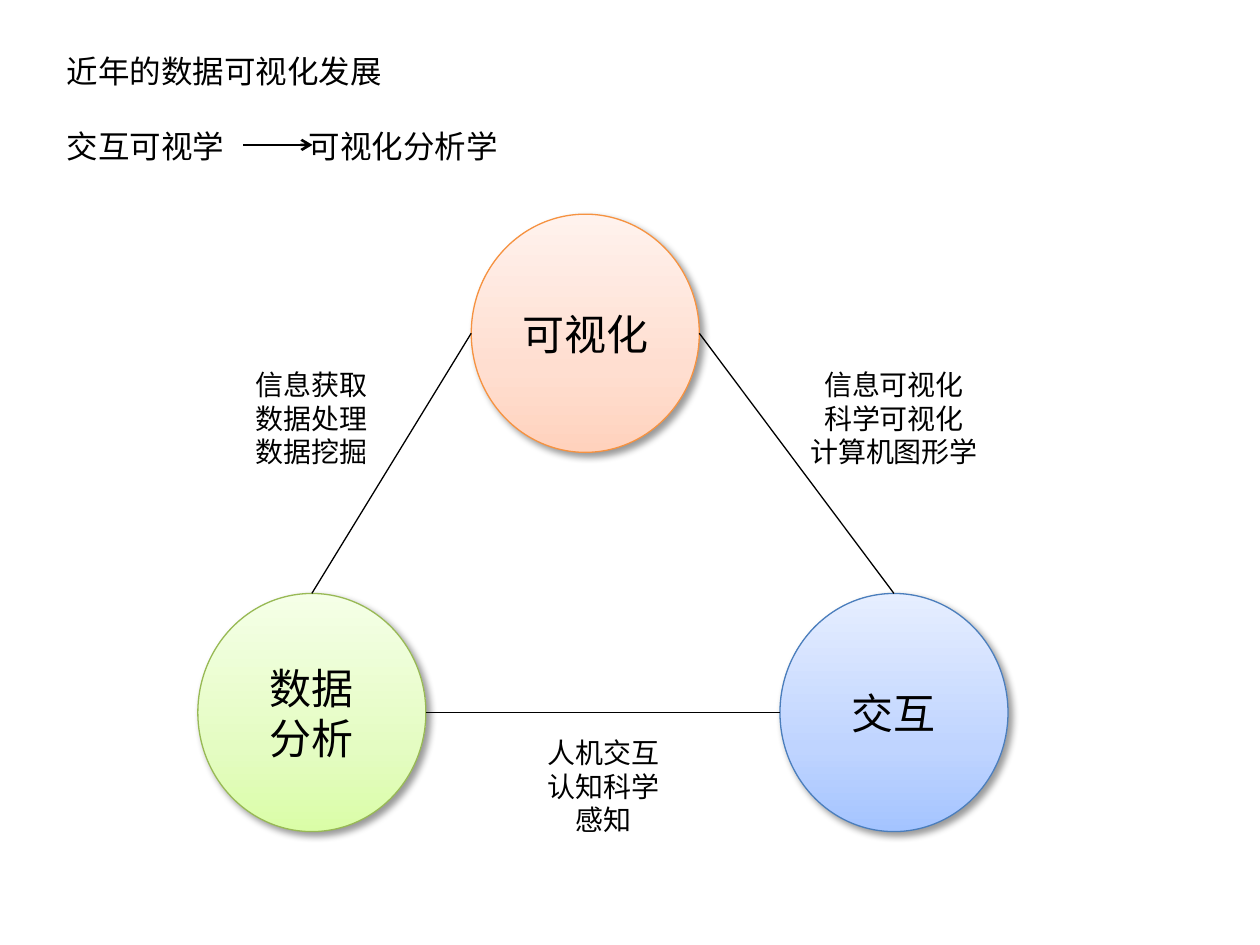
from dataclasses import dataclass

from lxml.etree import SubElement
from pptx import Presentation
from pptx.dml.color import RGBColor as Color
from pptx.enum.shapes import MSO_CONNECTOR as Connector, MSO_SHAPE as Shape
from pptx.enum.text import MSO_ANCHOR as Anchor, MSO_AUTO_SIZE as AutoSize, PP_ALIGN as Align
from pptx.oxml import parse_xml
from pptx.oxml.ns import nsdecls, qn
from pptx.util import Inches, Pt


@dataclass(frozen=True)
class Theme:
    font: str = "Noto Sans CJK SC"
    ink: str = "000000"
    title_size: int = 18
    circle_size: int = 24
    label_size: int = 16
    thin: float = 0.75
    thick: float = 1.5
    # Line colour, then gradient colours from bottom to top
    green: tuple = ("98B955", "DAFDA7", "E4FCC2", "F5FFE7")
    orange: tuple = ("F69240", "FFD2BD", "FFDED0", "FFF2ED")
    blue: tuple = ("4B7EBC", "A4C4FF", "BFD4FF", "E6EEFF")


@dataclass(frozen=True)
class Circle:
    """A circle's place on the grid, with its joining points."""
    left: float
    top: float
    width: float = 18.1
    height: float = 18.9

    @property
    def north(self):
        return self.left + self.width / 2, self.top

    @property
    def west(self):
        return self.left, self.top + self.height / 2

    @property
    def east(self):
        return self.left + self.width, self.top + self.height / 2


class SlideBuilder:
    """Draws on a grid of 100 columns by 75 rows."""

    def __init__(self, deck, theme):
        self.theme = theme
        self.cell = deck.slide_width / 100
        self.page = deck.slides.add_slide(deck.slide_layouts[5])

    def grid(self, *lengths):
        return [round(length * self.cell) for length in lengths]

    def add_span(self, para, text, size):
        span = para.add_run()
        span.text = text
        span.font.size = Pt(size)
        span.font.name = self.theme.font
        span.font.color.rgb = Color.from_string(self.theme.ink)
        east_asian = SubElement(span.font._element, qn("a:ea"))
        east_asian.set("typeface", self.theme.font)

    def add_lines(self, frame, lines, size, align):
        for number, line in enumerate(lines):
            para = frame.add_paragraph() if number else frame.paragraphs[0]
            para.alignment = align
            self.add_span(para, line, size)

    def title(self, place, lines, tab):
        box = self.page.shapes.title
        box.left, box.top, box.width, box.height = self.grid(*place)
        frame = box.text_frame
        frame.auto_size = AutoSize.NONE
        frame.vertical_anchor = Anchor.TOP
        self.add_lines(frame, lines, self.theme.title_size, Align.LEFT)
        last = frame.paragraphs[-1]
        last.space_before = Pt(self.theme.title_size * 1.2)
        stops = SubElement(last._p.get_or_add_pPr(), qn("a:tabLst"))
        SubElement(stops, qn("a:tab"), pos=str(self.grid(tab)[0]), algn="l")

    def circle(self, place, lines, colours):
        outline, *shades = colours
        oval = self.page.shapes.add_shape(
            Shape.OVAL, *self.grid(place.left, place.top, place.width, place.height))
        # Gradient fill
        stops = "".join(
            f'<a:gs pos="{share * 1000}"><a:srgbClr val="{shade}"/></a:gs>'
            for share, shade in zip((0, 35, 100), shades))
        properties = oval._element.spPr
        properties.append(parse_xml(
            f'<a:gradFill {nsdecls("a")} rotWithShape="1"><a:gsLst>{stops}</a:gsLst>'
            '<a:lin ang="16200000" scaled="0"/></a:gradFill>'))
        oval.line.color.rgb = Color.from_string(outline)
        oval.line.width = Pt(self.theme.thin)
        # Soft shadow to the lower right
        properties.append(parse_xml(
            f'<a:effectLst {nsdecls("a")}><a:outerShdw blurRad="{Pt(4)}" dist="{Pt(3)}" '
            f'dir="2700000" rotWithShape="0"><a:srgbClr val="{self.theme.ink}">'
            '<a:alpha val="40000"/></a:srgbClr></a:outerShdw></a:effectLst>'))
        frame = oval.text_frame
        frame.vertical_anchor = Anchor.MIDDLE
        self.add_lines(frame, lines, self.theme.circle_size, Align.CENTER)

    def line(self, start, end, width, arrow=False):
        link = self.page.shapes.add_connector(
            Connector.STRAIGHT, *self.grid(*start, *end))
        link.line.color.rgb = Color.from_string(self.theme.ink)
        link.line.width = Pt(width)
        if arrow:
            SubElement(link.line._get_or_add_ln(), qn("a:tailEnd"), type="arrow")
        SubElement(link._element.spPr, qn("a:effectLst"))

    def label(self, place, lines, align=Align.CENTER):
        box = self.page.shapes.add_textbox(*self.grid(*place))
        frame = box.text_frame
        frame.word_wrap = False
        frame.auto_size = AutoSize.SHAPE_TO_FIT_TEXT
        self.add_lines(frame, lines, self.theme.label_size, align)


def main():
    deck = Presentation()
    deck.slide_width, deck.slide_height = Inches(10), Inches(7.5)
    theme = Theme()
    slide = SlideBuilder(deck, theme)

    # Heading with its arrow
    slide.title((4.3, 3.6, 41.7, 11),
                ["近年的数据可视化发展", "交互可视学\t可视化分析学"], tab=19.2)
    slide.line((19.3, 11.5), (24.8, 11.5), theme.thick, arrow=True)

    # Three fields
    analysis, visual, interaction = Circle(15.7, 47.1), Circle(37.4, 17), Circle(61.9, 47.1)
    slide.circle(analysis, ["数据", "分析"], theme.green)
    slide.circle(visual, ["可视化"], theme.orange)
    slide.circle(interaction, ["交互"], theme.blue)

    # Links between the fields
    for start, end in ((analysis.north, visual.west),
                       (visual.east, interaction.north),
                       (analysis.east, interaction.west)):
        slide.line(start, end, theme.thin)

    # Topics beside each link
    slide.label((19.3, 28.7, 11, 9.1), ["信息获取", "数据处理", "数据挖掘"], Align.LEFT)
    slide.label((63.2, 28.7, 15.5, 9.1), ["信息可视化", "科学可视化", "计算机图形学"])
    slide.label((42.4, 57.9, 11, 9.4), ["人机交互", "认知科学", "感知"])

    deck.save("out.pptx")


if __name__ == "__main__":
    main()
